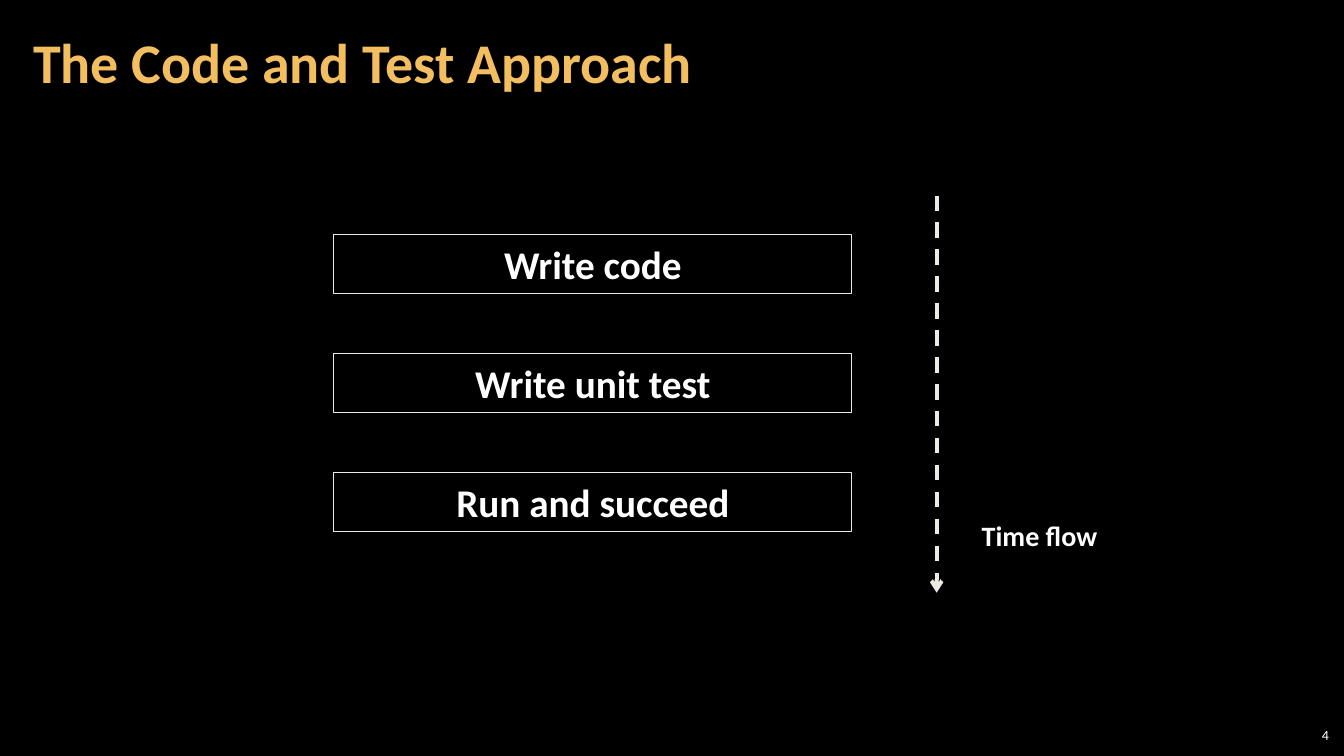
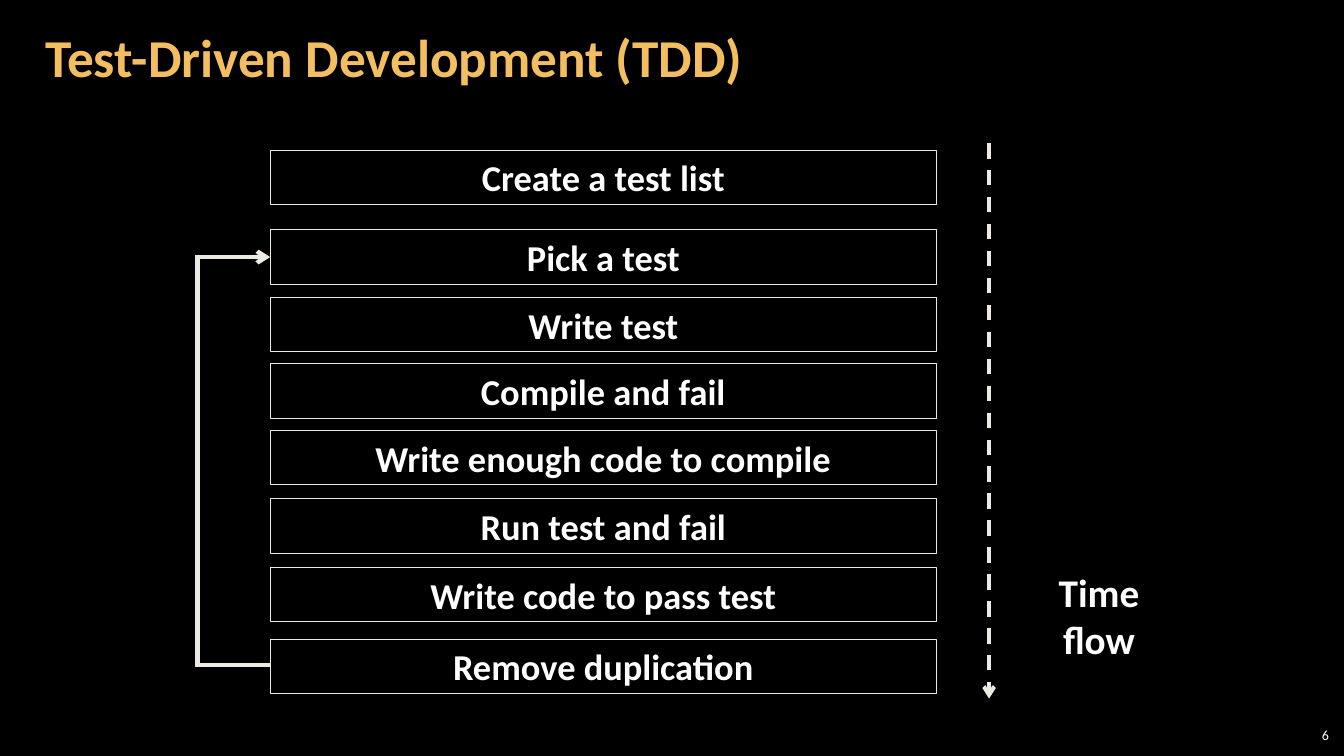
from dataclasses import dataclass

from lxml.etree import SubElement as Sub
from pptx import Presentation
from pptx.dml.color import RGBColor
from pptx.enum.dml import MSO_LINE_DASH_STYLE as Dash
from pptx.enum.shapes import MSO_CONNECTOR as Conn, MSO_SHAPE as Kind
from pptx.enum.text import MSO_ANCHOR as Anchor, MSO_AUTO_SIZE as Fit, PP_ALIGN as Align
from pptx.oxml.ns import qn
from pptx.slide import Slide
from pptx.text.text import TextFrame
from pptx.util import Inches, Pt

BLACK = RGBColor(0x00, 0x00, 0x00)
WHITE = RGBColor(0xFF, 0xFF, 0xFF)
GOLD = RGBColor(0xF3, 0xBE, 0x60)
IVORY = RGBColor(0xEC, 0xEA, 0xE3)
FONT = "Calibri"


@dataclass
class Area:
    left: float
    top: float
    width: float
    height: float

    def sides(self) -> list[int]:
        return [Inches(n) for n in (self.left, self.top, self.width, self.height)]


@dataclass
class Step:
    text: str
    top: float


@dataclass
class Line:
    x1: float
    y1: float
    x2: float
    y2: float
    weight: float = 3
    dashed: bool = False
    arrow: bool = False


@dataclass
class Page:
    number: int
    title: str
    head: Area
    head_size: int
    steps: list[Step]
    column: Area  # the top is that of the first step
    step_size: int
    lines: list[Line]
    label: Area
    label_size: int


def write(frame: TextFrame, text: str, size: int, color: RGBColor = WHITE,
          bold: bool = True, align: Align = Align.CENTER,
          anchor: Anchor = Anchor.MIDDLE, pad: tuple[float, float] = (0.1, 0.05)) -> None:
    frame.text = text
    frame.word_wrap = True
    frame.auto_size = Fit.NONE
    frame.vertical_anchor = anchor
    frame.margin_left = frame.margin_right = Inches(pad[0])
    frame.margin_top = frame.margin_bottom = Inches(pad[1])
    para = frame.paragraphs[0]
    para.alignment = align
    font = para.runs[0].font
    font.name, font.size, font.bold = FONT, Pt(size), bold
    font.color.rgb = color


def add_head(slide: Slide, page: Page) -> None:
    title = slide.shapes.title
    title.left, title.top, title.width, title.height = page.head.sides()
    write(title.text_frame, page.title, page.head_size, GOLD,
          align=Align.LEFT, pad=(0.12, 0.04))
    title.text_frame.paragraphs[0].line_spacing = 0.9


def add_text(slide: Slide, area: Area, text: str, size: int, **style) -> None:
    write(slide.shapes.add_textbox(*area.sides()).text_frame, text, size, **style)


def add_step(slide: Slide, step: Step, column: Area, size: int) -> None:
    area = Area(column.left, step.top, column.width, column.height)
    box = slide.shapes.add_shape(Kind.RECTANGLE, *area.sides())
    box.shadow.inherit = False
    box.fill.solid()
    box.fill.fore_color.rgb = BLACK
    box.line.color.rgb = IVORY
    box.line.width = Pt(0.75)
    write(box.text_frame, step.text, size)


def add_line(slide: Slide, line: Line) -> None:
    ends = [Inches(n) for n in (line.x1, line.y1, line.x2, line.y2)]
    link = slide.shapes.add_connector(Conn.STRAIGHT, *ends)
    link.line.color.rgb = IVORY
    link.line.width = Pt(line.weight)
    if line.dashed:
        link.line.dash_style = Dash.DASH
    props = link._element.spPr
    if line.arrow:
        Sub(props.find(qn("a:ln")), qn("a:tailEnd"), type="arrow")
    Sub(props, qn("a:effectLst"))  # no shadow


def add_page(deck: Presentation, page: Page) -> None:
    slide = deck.slides.add_slide(deck.slide_layouts[5])
    add_head(slide, page)
    for step in page.steps:
        add_step(slide, step, page.column, page.step_size)
    for line in page.lines:
        add_line(slide, line)
    add_text(slide, page.label, "Time flow", page.label_size, anchor=Anchor.TOP)
    add_text(slide, Area(12.55, 7.17, 0.67, 0.25), str(page.number), 10,
             bold=False, align=Align.RIGHT, pad=(0.04, 0.04))


def flow(x: float, top: float, end: float) -> Line:
    return Line(x, top, x, end, weight=2.75, dashed=True, arrow=True)


# Three steps at an equal pitch
BASIC = ["Write code", "Write unit test", "Run and succeed"]
CODE = Page(
    4, "The Code and Test Approach", Area(0.21, 0.04, 10.47, 1.21), 40,
    [Step(text, 2.33 + 1.18 * i) for i, text in enumerate(BASIC)],
    Area(3.31, 2.33, 5.14, 0.58), 28,
    [flow(9.29, 1.94, 5.88)],
    Area(9.44, 5.09, 1.74, 0.44), 20,
)

# Eight steps, with a loop from the last back to the second
TDD = Page(
    6, "Test-Driven Development (TDD)", Area(0.33, 0.16, 10.33, 0.87), 38,
    [
        Step("Create a test list", 1.49),
        Step("Pick а test", 2.28),
        Step("Write test", 2.95),
        Step("Compile and fail", 3.61),
        Step("Write enough code to compile", 4.27),
        Step("Run test and fail", 4.95),
        Step("Write code to pass test", 5.63),
        Step("Remove duplication", 6.34),
    ],
    Area(2.68, 1.49, 6.61, 0.54), 26,
    [
        Line(1.96, 6.62, 1.96, 2.53),
        Line(1.94, 2.55, 2.68, 2.55, arrow=True),
        Line(1.94, 6.6, 2.68, 6.6),
        flow(9.81, 1.42, 6.93),
    ],
    Area(10.03, 5.59, 1.74, 1.03), 28,
)


def main() -> None:
    deck = Presentation()
    deck.slide_width, deck.slide_height = Inches(13.33), Inches(7.5)
    back = deck.slide_master.background.fill
    back.solid()
    back.fore_color.rgb = BLACK
    for page in (CODE, TDD):
        add_page(deck, page)
    deck.save("out.pptx")


if __name__ == "__main__":
    main()
